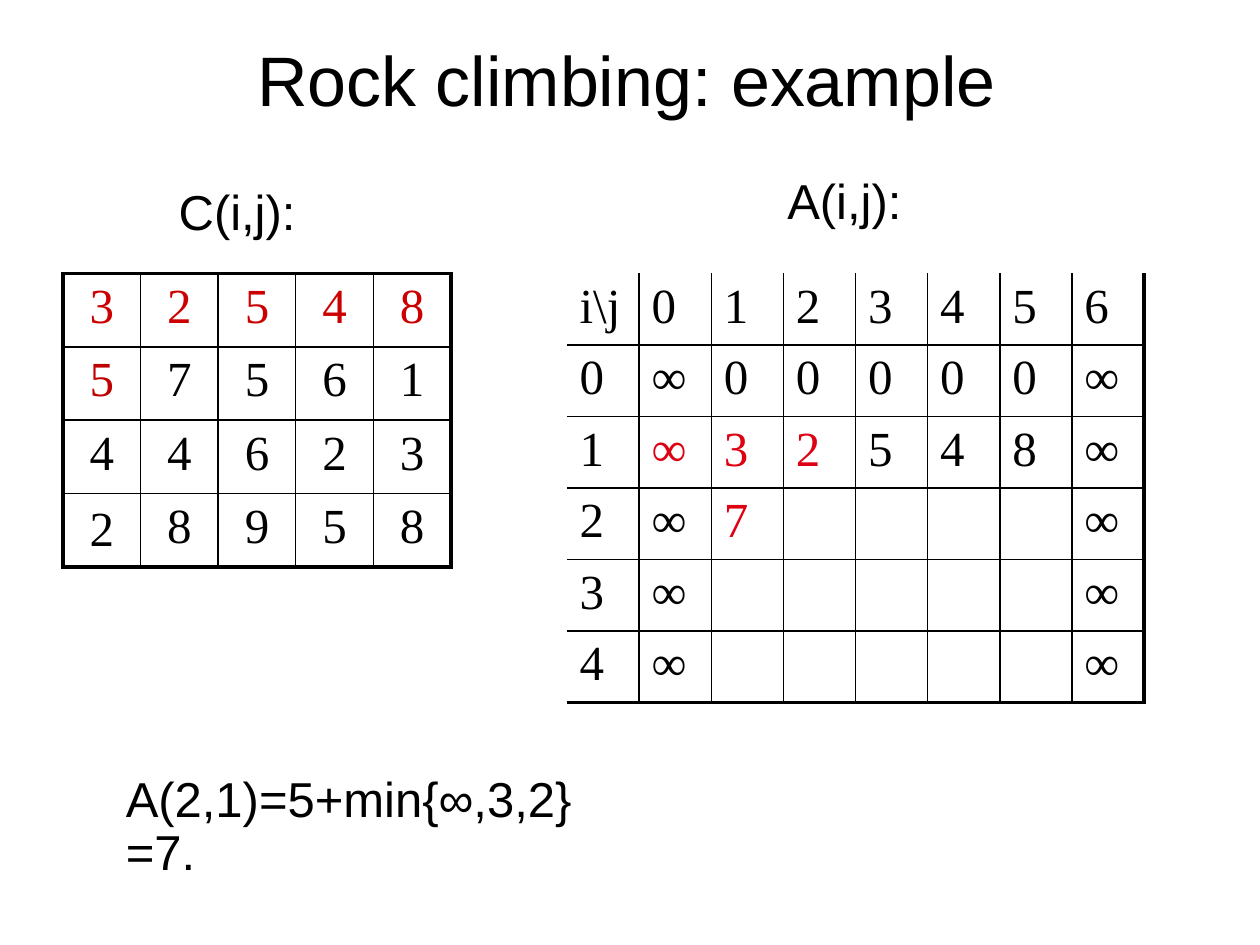
from lxml import etree
from pptx import Presentation
from pptx import util as u
from pptx.dml.color import RGBColor
from pptx.enum import text
from pptx.oxml import ns

COLORS = {"ink": "000000", "cost": "CC0000", "step": "C00000", "answer": "DD0111"}
FONTS = {"label": "Arial", "number": "Times New Roman"}
SIZES = {"title": 40, "label": 28}
COLUMNS, ROWS = 100, 75
THIN, THICK = 1, 2.25

COSTS = ["32548", "57561", "44623", "28958"]
COST_MARKS = {(0, j): "cost" for j in range(5)} | {(1, 0): "step"}
ANSWERS = [
    ["i\\j", *"0123456"],
    [*"0∞00000∞"],
    [*"1∞32548∞"],
    [*"2∞7", "", "", "", "", "∞"],
    [*"3∞", "", "", "", "", "", "∞"],
    [*"4∞", "", "", "", "", "", "∞"],
]
ANSWER_MARKS = dict.fromkeys([(2, 1), (2, 2), (2, 3), (3, 2)], "answer")


class Board:
    def __init__(self):
        self.deck = Presentation()
        self.deck.slide_width, self.deck.slide_height = u.Inches(10), u.Inches(7.5)
        self.slide = self.deck.slides.add_slide(self.deck.slide_layouts[5])

    def place(self, left, top, width, height):
        """Turn grid columns and rows into slide lengths."""
        across, down = self.deck.slide_width / COLUMNS, self.deck.slide_height / ROWS
        return [round(n) for n in (left * across, top * down, width * across, height * down)]

    def put_words(self, frame, words, font="label", size="label", color="ink", **layout):
        paragraph = frame.paragraphs[0]
        for key, value in layout.items():
            setattr(paragraph, key, value)
        run = paragraph.add_run()
        run.text = words
        look = {"name": FONTS[font], "size": u.Pt(SIZES[size])}
        for key, value in look.items():
            setattr(run.font, key, value)
        run.font.color.rgb = RGBColor.from_string(COLORS[color])
        return paragraph

    def title(self, words, *box):
        heading = self.slide.shapes.title
        heading.left, heading.top, heading.width, heading.height = self.place(*box)
        heading.text_frame.vertical_anchor = text.MSO_ANCHOR.MIDDLE
        self.put_words(heading.text_frame, words, size="title", alignment=text.PP_ALIGN.CENTER)

    def label(self, words, *box, wrap=False):
        frame = self.slide.shapes.add_textbox(*self.place(*box)).text_frame
        frame.word_wrap = wrap
        frame.auto_size = text.MSO_AUTO_SIZE.SHAPE_TO_FIT_TEXT
        self.put_words(frame, words, line_spacing=0.9)

    def edge(self, cell, side, weight):
        """Draw one cell border; a weight of 0 hides it."""
        line = etree.SubElement(cell._tc.get_or_add_tcPr(), ns.qn(f"a:ln{side}"))
        if not weight:
            etree.SubElement(line, ns.qn("a:noFill"))
            return
        line.set("w", str(u.Pt(weight)))
        fill = etree.SubElement(line, ns.qn("a:solidFill"))
        etree.SubElement(fill, ns.qn("a:srgbClr"), val=COLORS["ink"])

    def matrix(self, values, marks, align, outline, *box):
        """Outline holds the outer border weights: left, right, top, bottom."""
        height, width = len(values), len(values[0])
        left, top, wide, high = self.place(*box)
        table = self.slide.shapes.add_table(height, width, left, top, wide, high).table
        table.first_row = table.horz_banding = False
        for i, row in enumerate(values):
            for j, value in enumerate(row):
                cell = table.cell(i, j)
                outer = {"L": j == 0, "R": j == width - 1, "T": i == 0, "B": i == height - 1}
                for (side, at_rim), weight in zip(outer.items(), outline):
                    self.edge(cell, side, weight if at_rim else THIN)
                cell.fill.background()
                if value:
                    paragraph = self.put_words(cell.text_frame, value, "number",
                                               color=marks.get((i, j), "ink"), alignment=align)
                    before = etree.SubElement(paragraph._p.get_or_add_pPr(), ns.qn("a:spcBef"))
                    etree.SubElement(before, ns.qn("a:spcPct"), val="20000")
        return table


def main():
    board = Board()
    board.title("Rock climbing: example", 7.2, 0, 85, 12.5)
    costs = board.matrix(COSTS, COST_MARKS, text.PP_ALIGN.CENTER,
                         (THICK, THICK, THICK, THICK), 5, 21.7, 30.8, 23.3)
    costs.cell(len(COSTS) - 1, 0).vertical_anchor = text.MSO_ANCHOR.MIDDLE
    board.label("C(i,j):", 13.2, 14.4, 11.4, 5.2)
    board.label("A(i,j):", 61.5, 13.6, 11.6, 5.2)
    board.label("A(2,1)=5+min{∞,3,2}=7.", 9, 61, 42.1, 5.2, wrap=True)
    board.matrix(ANSWERS, ANSWER_MARKS, text.PP_ALIGN.LEFT,
                 (0, THICK, 0, THICK), 45, 21.7, 45.8, 34)
    board.deck.save("out.pptx")


if __name__ == "__main__":
    main()
